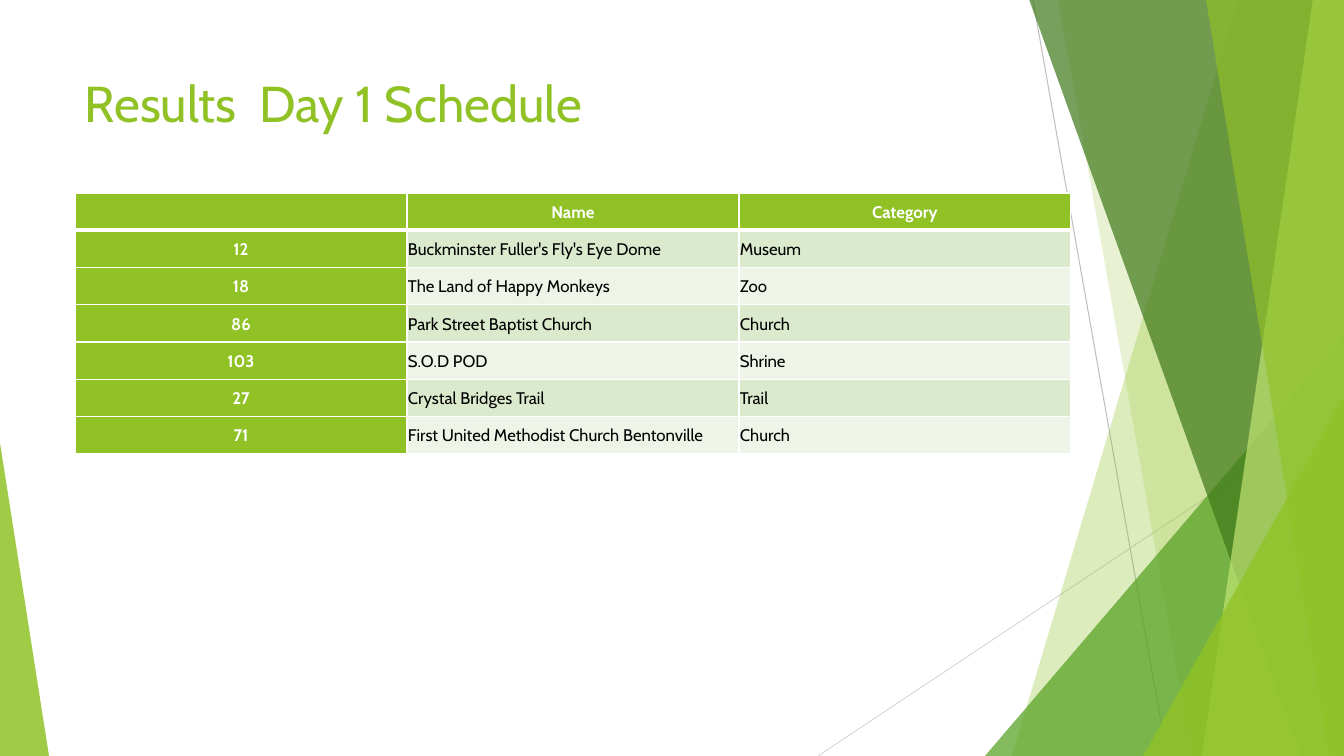
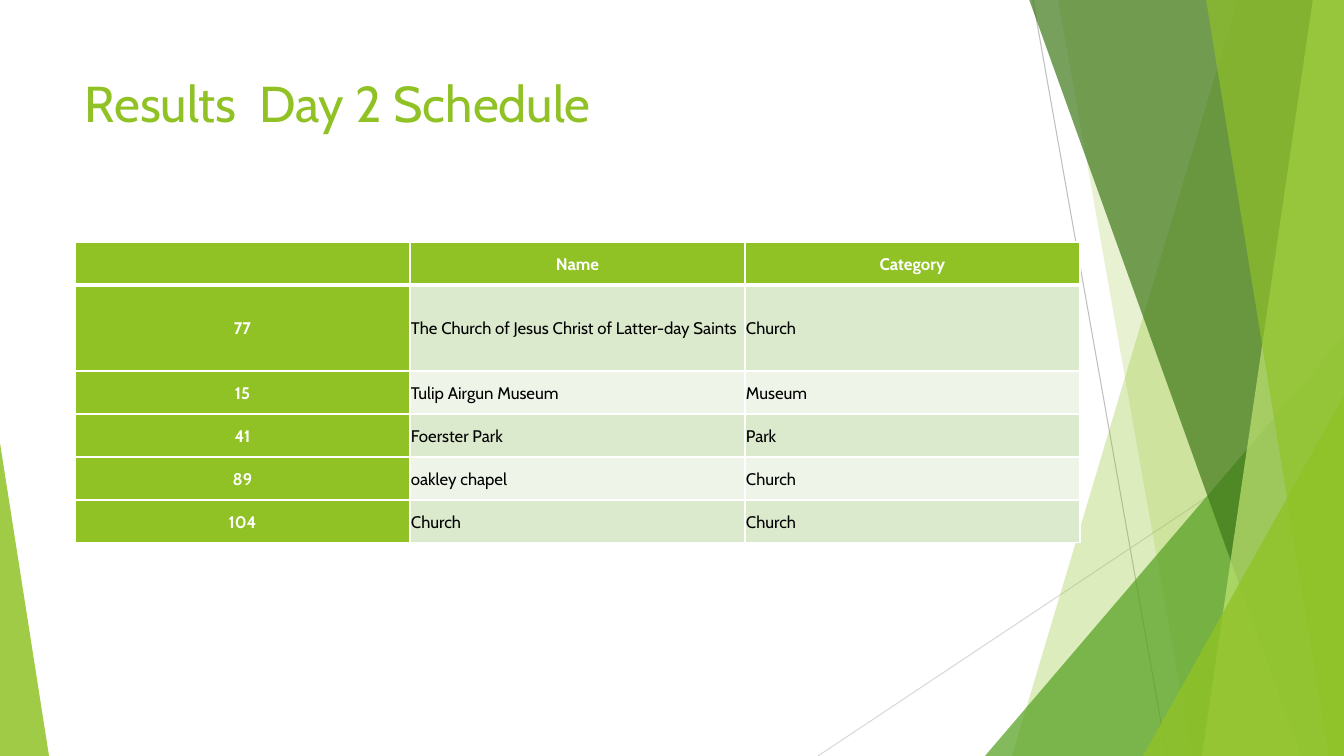
from lxml.etree import SubElement
from pptx import Presentation
from pptx.dml.color import RGBColor
from pptx.enum.shapes import MSO_CONNECTOR, MSO_SHAPE
from pptx.enum.text import MSO_ANCHOR, PP_ALIGN
from pptx.oxml.ns import qn
from pptx.util import Emu, Pt

SCALE = 914400 / 100.8
WIDTH, HEIGHT = 1344, 756
LEFT = 75
FONT = "Cabin"
COLORS = {
    "lime": "90C226",
    "pale lime": "C0E474",
    "green": "54A021",
    "forest": "3F7819",
    "odd row": "DBE9CD",
    "even row": "EEF4E8",
    "gray": "BFBFBF",
    "light gray": "D9D9D9",
    "white": "FFFFFF",
    "black": "000000",
}

LINES = [
    (1033, 0, 1167, HEIGHT, "gray"),
    (WIDTH, 406, 818, HEIGHT, "light gray"),
]
BANDS = [
    ("panel", 1238, 1012, "lime", 30),
    ("panel", 1058, 1192, "lime", 20),
    ("right triangle", 985, 336, "green", 72),
    ("panel", 1029, 1301, "forest", 70),
    ("panel", 1313, 1202, "pale lime", 70),
    ("panel", 1206, 1329, "lime", 65),
    ("right triangle", 1143, 396, "lime", 80),
    ("left triangle", 49, 443, "lime", 85),
]

HEADER = ("", "Name", "Category")
SCHEDULES = [
    {
        "title": "Results  Day 1 Schedule",
        "top": 193,
        "column": 332,
        "height": 261,
        "tall rows": [],
        "rows": [
            ("12", "Buckminster Fuller's Fly's Eye Dome", "Museum"),
            ("18", "The Land of Happy Monkeys", "Zoo"),
            ("86", "Park Street Baptist Church", "Church"),
            ("103", "S.O.D POD", "Shrine"),
            ("27", "Crystal Bridges Trail", "Trail"),
            ("71", "First United Methodist Church Bentonville", "Church"),
        ],
    },
    {
        "title": "Results  Day 2 Schedule",
        "top": 242,
        "column": 335,
        "height": 301,
        "tall rows": [1],
        "rows": [
            ("77", "The Church of Jesus Christ of Latter-day Saints", "Church"),
            ("15", "Tulip Airgun Museum", "Museum"),
            ("41", "Foerster Park", "Park"),
            ("89", "oakley chapel", "Church"),
            ("104", "Church", "Church"),
        ],
    },
]


def px(length):
    return Emu(round(length * SCALE))


def add_run(paragraph, text, size, color, bold=False):
    run = paragraph.add_run()
    run.text = text
    run.font.name = FONT
    run.font.size = Pt(size)
    run.font.bold = bold
    run.font.color.rgb = RGBColor.from_string(COLORS[color])


presentation = Presentation()
presentation.slide_width = px(WIDTH)
presentation.slide_height = px(HEIGHT)

for schedule in SCHEDULES:
    slide = presentation.slides.add_slide(presentation.slide_layouts[6])

    for x1, y1, x2, y2, color in LINES:
        line = slide.shapes.add_connector(
            MSO_CONNECTOR.STRAIGHT, px(x1), px(y1), px(x2), px(y2))
        line.line.color.rgb = RGBColor.from_string(COLORS[color])
        line.line.width = Pt(0.75)
        SubElement(line.element.spPr, qn("a:effectLst"))

    for kind, first, second, color, opacity in BANDS:
        if kind == "panel":
            builder = slide.shapes.build_freeform(first, -1, scale=SCALE)
            builder.add_line_segments(
                [(WIDTH, -1), (WIDTH, HEIGHT), (second, HEIGHT)], close=True)
            band = builder.convert_to_shape()
        else:
            on_right = kind == "right triangle"
            left, right = (first, WIDTH) if on_right else (0, first)
            band = slide.shapes.add_shape(
                MSO_SHAPE.ISOSCELES_TRIANGLE,
                px(left), px(second), px(right - left), px(HEIGHT - second))
            band.adjustments[0] = 1 if on_right else 0
        band.shadow.inherit = False
        band.line.fill.background()
        band.fill.solid()
        band.fill.fore_color.rgb = RGBColor.from_string(COLORS[color])
        solid = band.element.spPr.find(qn("a:solidFill"))
        SubElement(solid[0], qn("a:alpha"), val=str(opacity * 1000))

    title = slide.shapes.add_textbox(px(LEFT), px(67), px(948), px(145))
    title.text_frame.word_wrap = True
    title.text_frame.vertical_anchor = MSO_ANCHOR.TOP
    add_run(title.text_frame.paragraphs[0], schedule["title"], 36, "lime")

    rows = [HEADER] + schedule["rows"]
    unit = schedule["height"] / (len(rows) + len(schedule["tall rows"]))
    table = slide.shapes.add_table(
        len(rows), len(HEADER), px(LEFT), px(schedule["top"]),
        px(schedule["column"] * len(HEADER)), px(schedule["height"])).table
    table.first_row = False
    table.horz_banding = False
    for column in table.columns:
        column.width = px(schedule["column"])

    for row_index, texts in enumerate(rows):
        table.rows[row_index].height = px(
            unit * (2 if row_index in schedule["tall rows"] else 1))
        for column_index, text in enumerate(texts):
            cell = table.cell(row_index, column_index)
            heading = row_index == 0 or column_index == 0
            cell.vertical_anchor = MSO_ANCHOR.MIDDLE
            cell.margin_left = cell.margin_right = px(1)
            cell.margin_top = cell.margin_bottom = px(1)

            properties = cell._tc.get_or_add_tcPr()
            for side in ("lnL", "lnR", "lnT", "lnB"):
                thick = (row_index, side) in ((0, "lnB"), (1, "lnT"))
                border = SubElement(
                    properties, qn(f"a:{side}"), w=str(Pt(3 if thick else 1)))
                border_fill = SubElement(border, qn("a:solidFill"))
                SubElement(border_fill, qn("a:srgbClr"), val=COLORS["white"])

            stripe = "odd row" if row_index % 2 else "even row"
            cell.fill.solid()
            cell.fill.fore_color.rgb = RGBColor.from_string(
                COLORS["lime" if heading else stripe])

            paragraph = cell.text_frame.paragraphs[0]
            paragraph.line_spacing = 1.07
            paragraph.alignment = PP_ALIGN.CENTER if heading else PP_ALIGN.LEFT
            if text:
                add_run(paragraph, text, 12, "white" if heading else "black", heading)

presentation.save("out.pptx")
